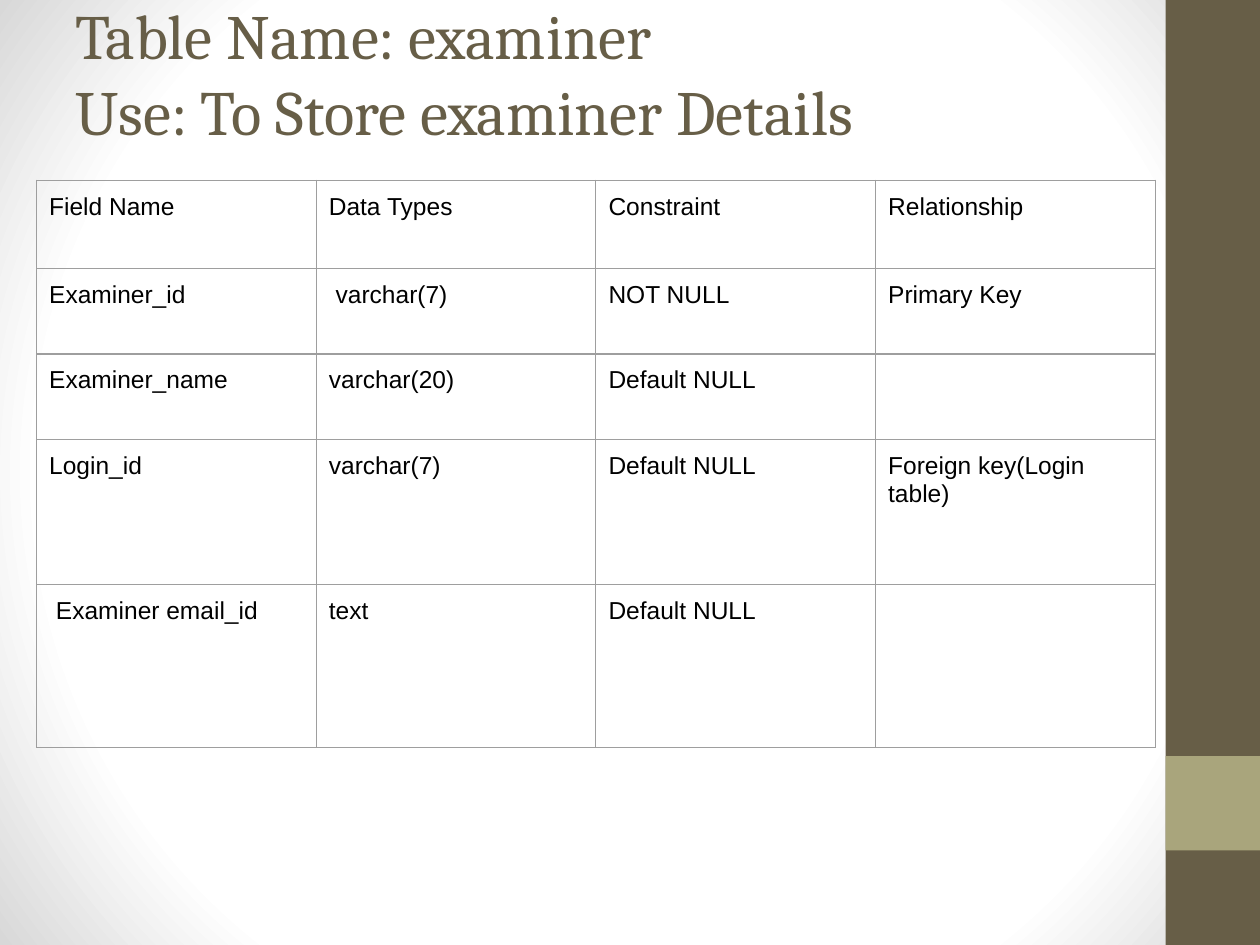
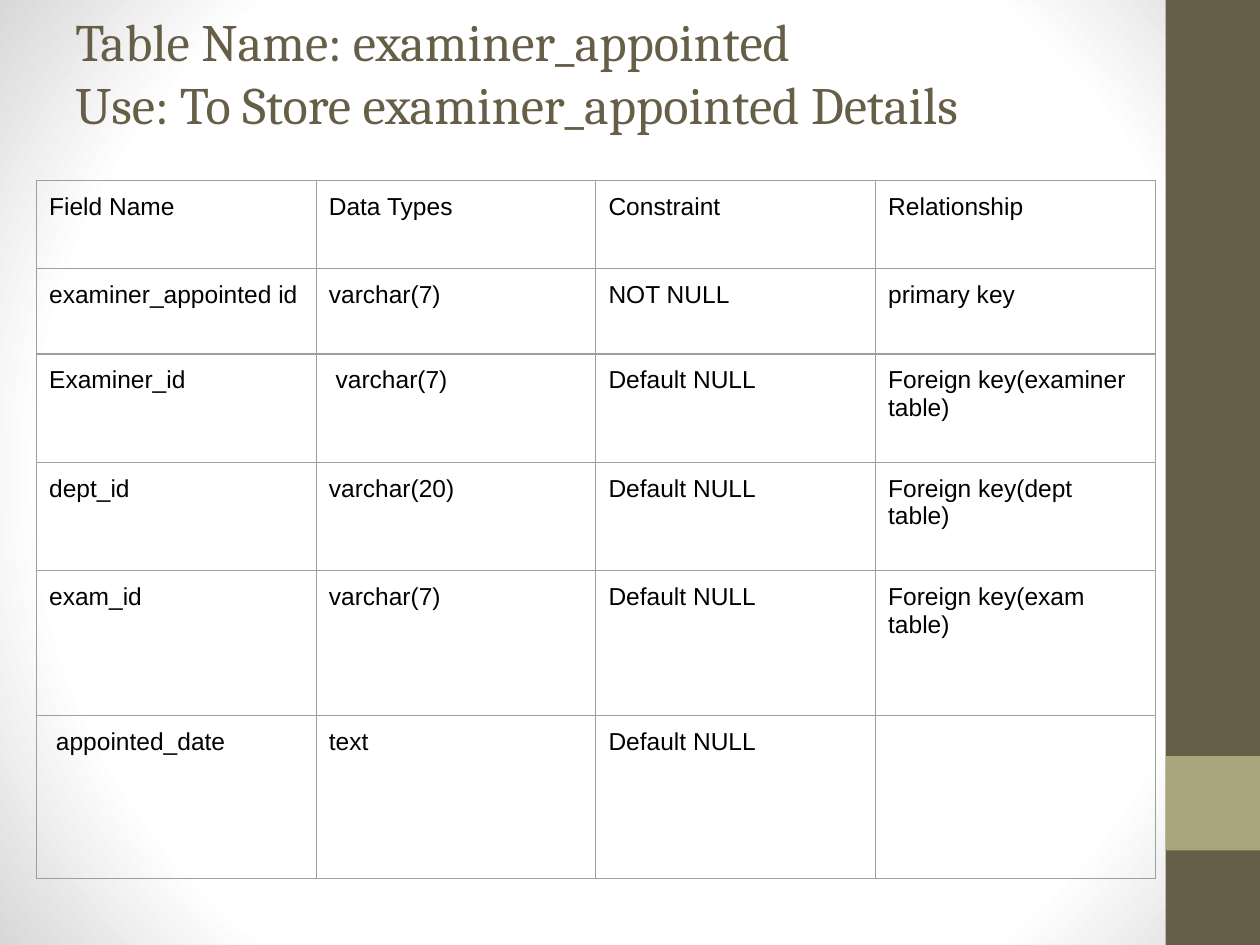
from pptx import Presentation
from pptx.dml.color import RGBColor
from pptx.enum.shapes import MSO_SHAPE
from pptx.enum.text import MSO_ANCHOR
from pptx.oxml import parse_xml
from pptx.oxml.ns import nsdecls
from pptx.util import Inches, Pt

OLIVE = RGBColor(0x67, 0x5E, 0x47)
SAGE = RGBColor(0xA9, 0xA5, 0x7C)
BLACK = RGBColor(0x00, 0x00, 0x00)
WHITE = RGBColor(0xFF, 0xFF, 0xFF)
EDGE_GRAY = RGBColor(0xD8, 0xD8, 0xD8)
BORDER_GRAY = RGBColor(0x9E, 0x9E, 0x9E)

SLIDE_WIDTH, SLIDE_HEIGHT = 10, 7.5
BAND_WIDTH = 0.75
BAND_BOX = (SLIDE_WIDTH - BAND_WIDTH, 0, BAND_WIDTH, SLIDE_HEIGHT)
TITLE_BOX = (0.5, 0, 8.33, 1.75)
TABLE_LEFT, TABLE_TOP, COLUMN_WIDTH = 0.29, 1.43, 2.22

TITLE_FONT = {"name": "Cambria"}
CELL_FONT = {"name": "Arial", "size": Pt(14)}
CELL_MARGINS = {f"margin_{side}": Inches(0.1)
                for side in ("left", "right", "top", "bottom")}
# The title sits above the middle of its box, clear of the table.
TITLE_FRAME = {"word_wrap": True, "vertical_anchor": MSO_ANCHOR.MIDDLE,
               **CELL_MARGINS, "margin_top": 0, "margin_bottom": Inches(0.6)}
PLAIN_TABLE = {"first_row": False, "horz_banding": False}

HEADINGS = ("Field Name", "Data Types", "Constraint", "Relationship")
TABLE_SLIDES = [
    {
        "title": ("Table Name: examiner", "Use: To Store examiner Details"),
        "title_size": 36,
        "row_heights": (0.7, 0.68, 0.68, 1.15, 1.29),
        "fields": [
            ("Examiner_id", " varchar(7)", "NOT NULL", "Primary Key"),
            ("Examiner_name", "varchar(20)", "Default NULL", ""),
            ("Login_id", "varchar(7)", "Default NULL", "Foreign key(Login table)"),
            (" Examiner email_id", "text", "Default NULL", ""),
        ],
    },
    {
        "title": ("Table Name: examiner_appointed",
                  "Use: To Store examiner_appointed Details"),
        "title_size": 30,
        "row_heights": (0.7, 0.68, 0.86, 0.86, 1.15, 1.29),
        "fields": [
            ("examiner_appointed id", "varchar(7)", "NOT NULL", "primary key"),
            ("Examiner_id", " varchar(7)", "Default NULL",
             "Foreign key(examiner table)"),
            ("dept_id", "varchar(20)", "Default NULL", "Foreign key(dept\vtable)"),
            ("exam_id", "varchar(7)", "Default NULL", "Foreign key(exam table)"),
            (" appointed_date", "text", "Default NULL", ""),
        ],
    },
]


def apply_format(target, values):
    for name, value in values.items():
        setattr(target, name, value)


def write_para(para, text, font_format, color):
    para.text = text
    for span in para.runs:
        apply_format(span.font, font_format)
        span.font.color.rgb = color


def add_background(page):
    """Fill the page with a white glow that turns gray at the corners."""
    stops = "".join(
        f'<a:gs pos="{percent * 1000}"><a:srgbClr val="{color}"/></a:gs>'
        for percent, color in ((0, WHITE), (75, WHITE), (100, EDGE_GRAY)))
    center = " ".join(f'{side}="50000"' for side in "ltrb")
    background = parse_xml(
        f'<p:bg {nsdecls("p", "a")}><p:bgPr><a:gradFill rotWithShape="1">'
        f'<a:gsLst>{stops}</a:gsLst><a:path path="circle">'
        f'<a:fillToRect {center}/></a:path></a:gradFill>'
        '<a:effectLst/></p:bgPr></p:bg>')
    page.element.cSld.insert(0, background)


def add_side_band(page, box):
    left, top, width, height = box
    square_top = top + height - 2 * width
    for color, part_top, part_height in ((OLIVE, top, height),
                                         (SAGE, square_top, width)):
        band = page.shapes.add_shape(
            MSO_SHAPE.RECTANGLE, Inches(left), Inches(part_top),
            Inches(width), Inches(part_height))
        band.shadow.inherit = False
        band.fill.solid()
        band.fill.fore_color.rgb = color
        band.line.fill.background()


def add_title(page, box, lines, size):
    frame = page.shapes.add_textbox(*map(Inches, box)).text_frame
    apply_format(frame, TITLE_FRAME)
    for index, line in enumerate(lines):
        para = frame.add_paragraph() if index else frame.paragraphs[0]
        write_para(para, line, {**TITLE_FONT, "size": Pt(size)}, OLIVE)


def add_cell_borders(cell):
    properties = cell._tc.get_or_add_tcPr()
    for index, side in enumerate(("lnL", "lnR", "lnT", "lnB")):
        properties.insert(index, parse_xml(
            f'<a:{side} {nsdecls("a")} w="{Pt(0.75)}"><a:solidFill>'
            f'<a:srgbClr val="{BORDER_GRAY}"/></a:solidFill></a:{side}>'))


def add_field_table(page, box, rows, row_heights):
    table = page.shapes.add_table(
        len(rows), len(HEADINGS), *map(Inches, box)).table
    apply_format(table, PLAIN_TABLE)
    for column in table.columns:
        column.width = Inches(box[2] / len(HEADINGS))
    for row, height, texts in zip(table.rows, row_heights, rows):
        row.height = Inches(height)
        for cell, text in zip(row.cells, texts):
            apply_format(cell, CELL_MARGINS)
            cell.fill.background()
            add_cell_borders(cell)
            write_para(cell.text_frame.paragraphs[0], text, CELL_FONT, BLACK)


def add_table_slide(deck, title, title_size, row_heights, fields):
    page = deck.slides.add_slide(deck.slide_layouts[6])
    add_background(page)
    add_side_band(page, BAND_BOX)
    add_title(page, TITLE_BOX, title, title_size)
    table_box = (TABLE_LEFT, TABLE_TOP,
                 COLUMN_WIDTH * len(HEADINGS), sum(row_heights))
    add_field_table(page, table_box, [HEADINGS, *fields], row_heights)


def main():
    deck = Presentation()
    deck.slide_width = Inches(SLIDE_WIDTH)
    deck.slide_height = Inches(SLIDE_HEIGHT)
    for content in TABLE_SLIDES:
        add_table_slide(deck, **content)
    deck.save("out.pptx")


if __name__ == "__main__":
    main()
